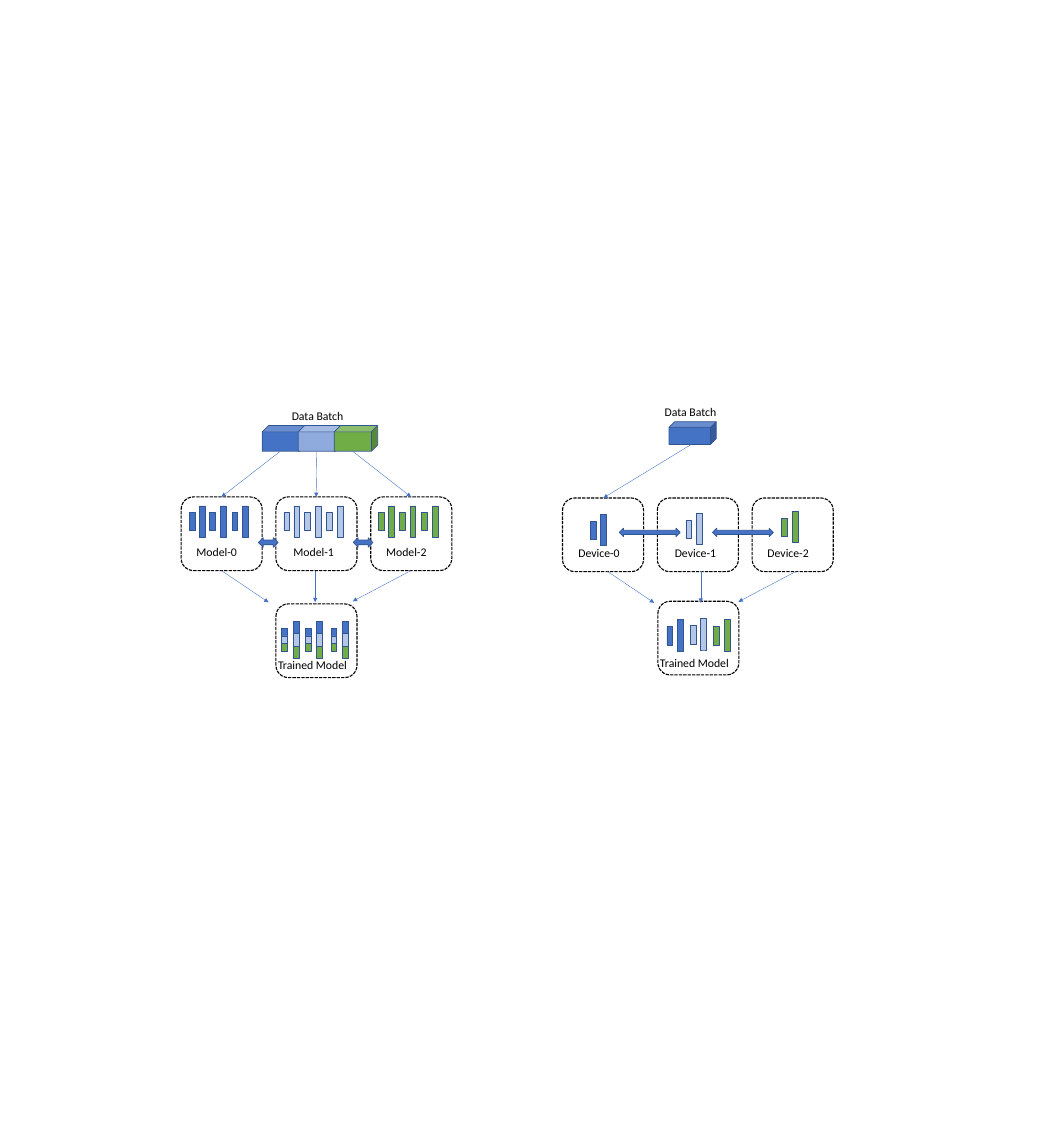
from typing import NamedTuple

from pptx import Presentation
from pptx.dml.color import RGBColor
from pptx.enum.dml import MSO_LINE_DASH_STYLE as Dash
from pptx.enum.shapes import MSO_CONNECTOR as Connector, MSO_SHAPE as Preset
from pptx.enum.text import MSO_AUTO_SIZE as AutoSize
from pptx.oxml.ns import qn
from pptx.util import Inches, Pt
from lxml.etree import SubElement

COLORS = {
    "blue": "4472C4", "mid": "8FAADC", "pale": "B4C7E7", "green": "70AD47",
    "edge": "325491", "black": "000000",
}
DEVICE_COLORS = ("blue", "pale", "green")
LABEL_FONT = {"name": "Calibri", "size": Pt(16)}
SOLID_EDGE = {"width": Pt(1)}
DASHED_EDGE = {"width": Pt(1.5), "dash_style": Dash.SQUARE_DOT}
BOX_W, BOX_H, BOX_PITCH = 1.53, 1.39, 1.79
BAR_W, SHORT_H, TALL_H = 0.11, 0.35, 0.59


class Part(NamedTuple):
    preset: Preset
    left: float
    top: float
    width: float
    height: float
    color: str | None = "blue"


class Label(NamedTuple):
    text: str
    left: float
    top: float
    width: float


class Flow(NamedTuple):
    x1: float
    y1: float
    x2: float
    y2: float


def rgb(name: str) -> RGBColor:
    return RGBColor.from_string(COLORS[name])


def draw_part(shapes, part: Part) -> None:
    """Filled parts get a thin solid edge, unfilled ones a dashed black edge."""
    shape = shapes.add_shape(part.preset, *map(Inches, part[1:5]))
    shape.shadow.inherit = False
    if part.color:
        shape.fill.solid()
        shape.fill.fore_color.rgb = rgb(part.color)
    else:
        shape.fill.background()
    shape.line.color.rgb = rgb("edge" if part.color else "black")
    for key, value in (SOLID_EDGE if part.color else DASHED_EDGE).items():
        setattr(shape.line, key, value)


def draw_label(shapes, label: Label) -> None:
    box = shapes.add_textbox(Inches(label.left), Inches(label.top),
                             Inches(label.width), Inches(0.37))
    box.text_frame.word_wrap = False
    box.text_frame.auto_size = AutoSize.SHAPE_TO_FIT_TEXT
    run = box.text_frame.paragraphs[0].add_run()
    run.text = label.text
    run.font.color.rgb = rgb("black")
    for key, value in LABEL_FONT.items():
        setattr(run.font, key, value)


def draw_flow(shapes, flow: Flow) -> None:
    arrow = shapes.add_connector(Connector.STRAIGHT, *map(Inches, flow))
    arrow.line.width = Pt(0.5)
    arrow.line.color.rgb = rgb("blue")
    SubElement(arrow.line._get_or_add_ln(), qn("a:tailEnd"), type="triangle")
    SubElement(arrow._element.spPr, qn("a:effectLst"))


def draw_box(shapes, left: float, top: float) -> None:
    draw_part(shapes, Part(Preset.ROUNDED_RECTANGLE, left, top, BOX_W, BOX_H, None))


def draw_bar(shapes, left: float, top: float, height: float, color: str) -> None:
    draw_part(shapes, Part(Preset.RECTANGLE, left, top, BAR_W, height, color))


def draw_layer_pair(shapes, left: float, top: float, color: str) -> None:
    draw_bar(shapes, left, top, SHORT_H, color)
    draw_bar(shapes, left + 0.2, top - 0.13, TALL_H, color)


def draw_data_parallel(shapes) -> None:
    # Batch split into three shards
    for i, color in enumerate(("blue", "mid", "green")):
        draw_part(shapes, Part(Preset.CUBE, 4.95 + 0.68 * i, 8.03, 0.82, 0.49, color))

    # One full model per box
    for i, color in enumerate(DEVICE_COLORS):
        box_left = 3.42 + BOX_PITCH * i
        draw_box(shapes, box_left, 9.38)
        for j, offset in enumerate((0.15, 0.34, 0.54, 0.74, 0.96, 1.16)):
            if j % 2:
                draw_bar(shapes, box_left + offset, 9.55, TALL_H, color)
            else:
                draw_bar(shapes, box_left + offset, 9.67, SHORT_H, color)
    for left in (4.88, 6.67):
        draw_part(shapes, Part(Preset.LEFT_RIGHT_ARROW, left, 10.15, 0.37, 0.18))

    # Trained model: every layer merges the three colours
    draw_box(shapes, 5.21, 11.4)
    for label in (
        Label("Data Batch", 5.41, 7.66, 1.19),
        Label("Model-0", 3.61, 10.23, 0.98),
        Label("Model-1", 5.44, 10.23, 0.98),
        Label("Model-2", 7.19, 10.23, 0.98),
        Label("Trained Model", 5.15, 12.37, 1.52),
    ):
        draw_label(shapes, label)
    for j, left in enumerate((5.32, 5.54, 5.77, 5.98, 6.25, 6.47)):
        top, height = (11.73, 0.235) if j % 2 else (11.86, 0.145)
        layer = shapes.add_group_shape().shapes
        for k, color in enumerate(DEVICE_COLORS):
            draw_bar(layer, left, top + height * k, height, color)

    for flow in (
        Flow(5.29, 8.52, 4.18, 9.38),
        Flow(5.98, 8.52, 5.97, 9.38),
        Flow(6.66, 8.52, 7.76, 9.38),
        Flow(4.18, 10.77, 5.07, 11.37),
        Flow(5.95, 10.77, 5.95, 11.37),
        Flow(7.76, 10.77, 6.66, 11.35),
    ):
        draw_flow(shapes, flow)


def draw_model_parallel(shapes) -> None:
    # Whole batch
    draw_part(shapes, Part(Preset.CUBE, 12.63, 7.96, 0.89, 0.43))

    # Two layers per device, then all layers in the trained model
    draw_box(shapes, 12.42, 11.35)
    device_tops = (9.84, 9.82, 9.78)
    trained_tops = (11.83, 11.81, 11.83)
    for i, color in enumerate(DEVICE_COLORS):
        draw_box(shapes, 10.62 + BOX_PITCH * i, 9.4)
        draw_layer_pair(shapes, 11.14 + 1.81 * i, device_tops[i], color)
        draw_layer_pair(shapes, 12.59 + 0.44 * i, trained_tops[i], color)
    for left in (11.69, 13.45):
        draw_part(shapes, Part(Preset.LEFT_RIGHT_ARROW, left, 9.97, 1.15, 0.16))

    for label in (
        Label("Data Batch", 12.45, 7.59, 1.19),
        Label("Device-0", 10.82, 10.25, 0.99),
        Label("Device-1", 12.64, 10.25, 0.99),
        Label("Device-2", 14.39, 10.25, 0.99),
        Label("Trained Model", 12.36, 12.33, 1.52),
    ):
        draw_label(shapes, label)

    for flow in (
        Flow(13.05, 8.39, 11.39, 9.4),
        Flow(11.46, 10.78, 12.35, 11.38),
        Flow(13.23, 10.78, 13.23, 11.38),
        Flow(15.04, 10.78, 13.94, 11.36),
    ):
        draw_flow(shapes, flow)


def main() -> None:
    deck = Presentation()
    deck.slide_width, deck.slide_height = Inches(19.69), Inches(21.67)
    blank_layout = deck.slide_layouts[6]
    shapes = deck.slides.add_slide(blank_layout).shapes
    draw_data_parallel(shapes)
    draw_model_parallel(shapes)
    deck.save("out.pptx")


if __name__ == "__main__":
    main()
